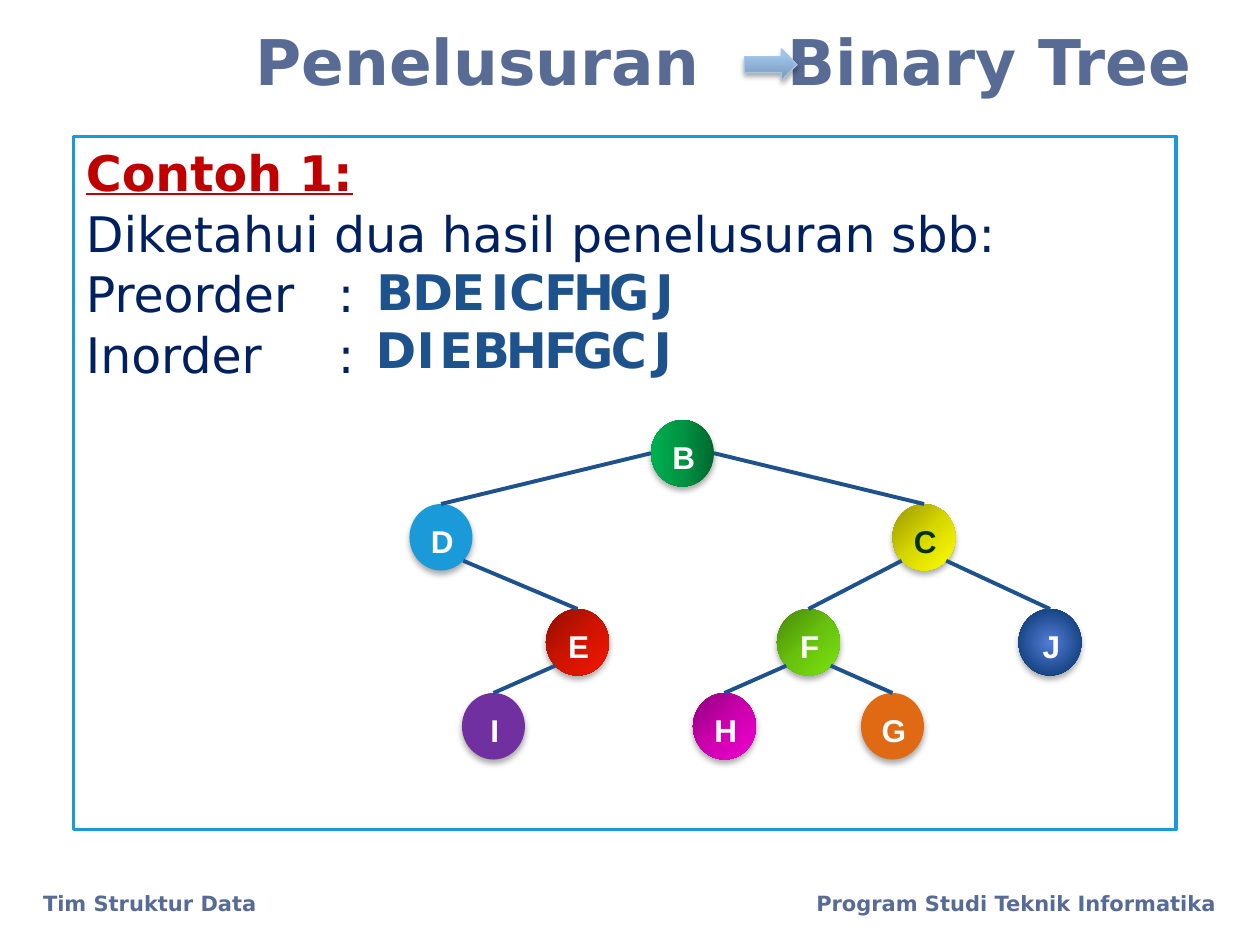
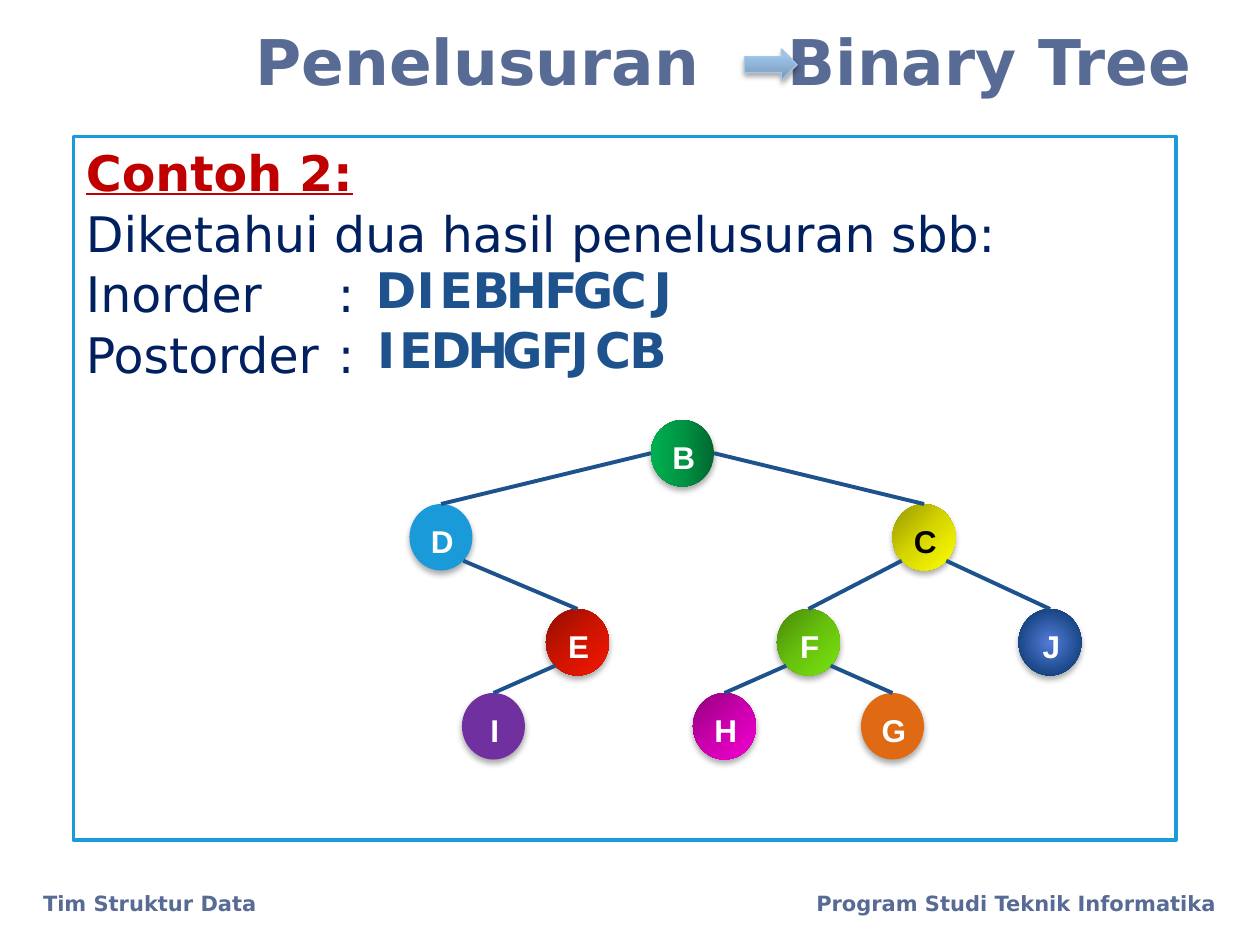
from math import cos, radians, sin

from lxml import etree
from pptx import Presentation
from pptx.dml.color import RGBColor
from pptx.enum.shapes import MSO_CONNECTOR as CONNECTOR, MSO_SHAPE as SHAPE
from pptx.enum.text import MSO_ANCHOR as ANCHOR, MSO_AUTO_SIZE as AUTO, PP_ALIGN as ALIGN
from pptx.oxml.ns import qn
from pptx.util import Pt

COLORS = {
    "heading": "586B95", "frame": "1B9AD9", "example": "C00000", "body": "002060",
    "letter": "1D528D", "edge": "1D528D", "arrow_line": "A6C6E5",
    "white": "FFFFFF", "shadow": "000000",
}
FONT, NODE_FONT = "DejaVu Sans", "Arial"
L, R = ALIGN.LEFT, ALIGN.RIGHT

NODE_W, NODE_H = 36, 38
# node: left, top, gradient colours from start to end, angle (None = from the centre)
NODES = {
    "J": (582, 348, ["547DD8", "003065"], None),
    "B": (372, 240, ["00682F", "009443", "00B050"], 180),
    "H": (396, 396, ["8F007B", "CC00AF", "F200CF"], 45),
    "C": (510, 288, ["979700", "D7D700", "FFFF00"], 45),
    "D": (234, 288, ["1B9AD9"], 0),
    "E": (312, 348, ["910E00", "CE1400", "F41700"], 45),
    "F": (444, 348, ["488809", "67C10D", "7AE50F"], 45),
    "G": (492, 396, ["DF6A13"], 0),
    "I": (264, 396, ["7030A0"], 0),
}
# parent, child, angle on the parent's rim (clockwise from the right)
EDGES = [("F", "H", 135), ("B", "D", 180), ("D", "E", 45), ("E", "I", 135),
         ("B", "C", 0), ("C", "F", 135), ("F", "G", 45), ("C", "J", 45)]

# letter, left, width, alignment, wraps
PREORDER = [("B", 208, 27, R, True), ("D", 228, 38, R, False), ("E", 251, 29, R, True),
            ("I", 271, 27, R, True), ("C", 284, 27, R, True), ("F", 304, 33, L, False),
            ("H", 320, 38, R, False), ("G", 341, 33, R, True), ("J", 362, 30, R, False)]
INORDER = [("D", 207.5, 27, R, True), ("I", 231, 32, L, True), ("E", 244, 29, R, True),
           ("B", 263, 34, L, True), ("H", 282, 27, L, True), ("F", 304, 33, L, False),
           ("G", 320, 37.5, R, False), ("C", 342, 33, R, True), ("J", 361, 30, R, False)]
POSTORDER = [("I", 206, 27, R, True), ("E", 221, 34, L, False), ("D", 239, 29, L, True),
             ("H", 260, 34, R, True), ("G", 280, 27, R, True), ("F", 302, 33, L, False),
             ("J", 319, 32, L, True), ("C", 333, 33, R, True), ("B", 352, 36, R, False)]

# heading, frame height, colour of the letter C, traversals as (label, top, letters)
EXAMPLES = [
    ("Contoh 1:", 396, "003300", [("Preorder", 146, PREORDER), ("Inorder", 179, INORDER)]),
    ("Contoh 2:", 402, "000000", [("Inorder", 145, INORDER), ("Postorder", 179, POSTORDER)]),
]


def write(shape, text, size=28, color=COLORS["heading"], font=FONT, bold=True,
          underline=False, align=L, anchor=ANCHOR.TOP, wrap=True, before=0, tab=None):
    """Add a paragraph to the shape, using the first one while it is empty."""
    frame = shape.text_frame
    frame.word_wrap = wrap
    frame.vertical_anchor = anchor
    paragraph = frame.add_paragraph() if frame.text else frame.paragraphs[0]
    paragraph.text = text
    paragraph.alignment = align
    paragraph.space_before = Pt(before)
    if tab:
        stops = etree.SubElement(paragraph._p.get_or_add_pPr(), qn("a:tabLst"))
        etree.SubElement(stops, qn("a:tab"), pos=str(Pt(tab)), algn="l")
    for run in paragraph.runs:
        run.font.size = Pt(size)
        run.font.name = font
        run.font.bold = bold
        run.font.underline = underline
        run.font.color.rgb = RGBColor.from_string(color)
    return shape


def paint(shape, stops, angle, opacity, blur, distance):
    """Fill with (percent, colour) stops and drop a shadow straight down."""
    properties = shape._element.spPr
    if len(stops) == 1:
        shape.fill.solid()
        shape.fill.fore_color.rgb = RGBColor.from_string(stops[0][1])
    else:
        shape.fill.gradient()
        gradient = properties.find(qn("a:gradFill"))
        for child in list(gradient):
            gradient.remove(child)
        stop_list = etree.SubElement(gradient, qn("a:gsLst"))
        for percent, color in stops:
            stop = etree.SubElement(stop_list, qn("a:gs"), pos=str(int(percent * 1000)))
            etree.SubElement(stop, qn("a:srgbClr"), val=color)
        if angle is None:
            radial = etree.SubElement(gradient, qn("a:path"))
            radial.set("path", "circle")
            etree.SubElement(radial, qn("a:fillToRect"), l="50000", t="50000",
                             r="50000", b="50000")
        else:
            etree.SubElement(gradient, qn("a:lin"), ang=str(angle * 60000), scaled="0")
    shape.shadow.inherit = False
    shadow = etree.SubElement(properties.find(qn("a:effectLst")), qn("a:outerShdw"),
                              blurRad=str(Pt(blur)), dist=str(Pt(distance)),
                              dir="5400000", rotWithShape="0")
    shade = etree.SubElement(shadow, qn("a:srgbClr"), val=COLORS["shadow"])
    etree.SubElement(shade, qn("a:alpha"), val=str(opacity * 1000))


deck = Presentation()
deck.slide_width, deck.slide_height = Pt(720), Pt(540)

for heading, frame_height, c_color, traversals in EXAMPLES:
    shapes = deck.slides.add_slide(deck.slide_layouts[6]).shapes

    title = shapes.add_textbox(Pt(54), Pt(12), Pt(648), Pt(45))
    title.text_frame.margin_left = Pt(92)
    write(title, "Penelusuran\tBinary Tree", size=36, anchor=ANCHOR.MIDDLE, tab=304)

    content = shapes.add_textbox(Pt(42), Pt(78), Pt(630), Pt(frame_height))
    content.line.color.rgb = RGBColor.from_string(COLORS["frame"])
    content.line.width = Pt(2)
    write(content, heading, color=COLORS["example"], underline=True, before=1)
    for line in ["Diketahui dua hasil penelusuran sbb:"] + [f"{t[0]}\t:" for t in traversals]:
        write(content, line, color=COLORS["body"], bold=False, before=1, tab=144)

    write(shapes.add_textbox(Pt(17.5), Pt(505.5), Pt(217), Pt(25)),
          "Tim Struktur Data", size=12)
    write(shapes.add_textbox(Pt(438), Pt(505.5), Pt(264), Pt(36)),
          "Program Studi Teknik Informatika", size=12, align=R)

    arrow = shapes.add_shape(SHAPE.RIGHT_ARROW, Pt(425.5), Pt(28), Pt(30), Pt(18))
    paint(arrow, [(0, "7997B5"), (80, "9DC4EB"), (100, "9CC5ED")], 270, 35, 3.1, 1.8)
    arrow.line.color.rgb = RGBColor.from_string(COLORS["arrow_line"])
    arrow.line.width = Pt(0.75)

    circles = {}
    for letter, (left, top, colors, angle) in NODES.items():
        circle = shapes.add_shape(SHAPE.OVAL, Pt(left), Pt(top), Pt(NODE_W), Pt(NODE_H))
        step = 100 / max(len(colors) - 1, 1)
        paint(circle, [(i * step, color) for i, color in enumerate(colors)], angle, 32, 3.5, 2.2)
        circle.line.fill.background()
        inner = circle.text_frame
        inner.margin_left, inner.margin_top = Pt(1.5), Pt(4)
        inner.margin_right = inner.margin_bottom = 0
        write(circle, letter, size=18, font=NODE_FONT, align=ALIGN.CENTER, anchor=ANCHOR.MIDDLE,
              color=c_color if letter == "C" else COLORS["white"])
        circles[letter] = circle

    for parent, child, angle in EDGES:
        left, top = NODES[parent][:2]
        start_x = left + NODE_W / 2 * (1 + cos(radians(angle)))
        start_y = top + NODE_H / 2 * (1 + sin(radians(angle)))
        edge = shapes.add_connector(CONNECTOR.STRAIGHT, Pt(start_x), Pt(start_y), 0, 0)
        edge.end_connect(circles[child], 0)
        edge.line.color.rgb = RGBColor.from_string(COLORS["edge"])
        edge.line.width = Pt(2.25)
        etree.SubElement(edge._element.spPr, qn("a:effectLst"))

    for label, top, letters in traversals:
        for letter, left, width, align, wrap in letters:
            box = shapes.add_textbox(Pt(left), Pt(top), Pt(width), Pt(41))
            write(box, letter, color=COLORS["letter"], align=align, wrap=wrap)
            box.text_frame.auto_size = AUTO.SHAPE_TO_FIT_TEXT

deck.save("out.pptx")
